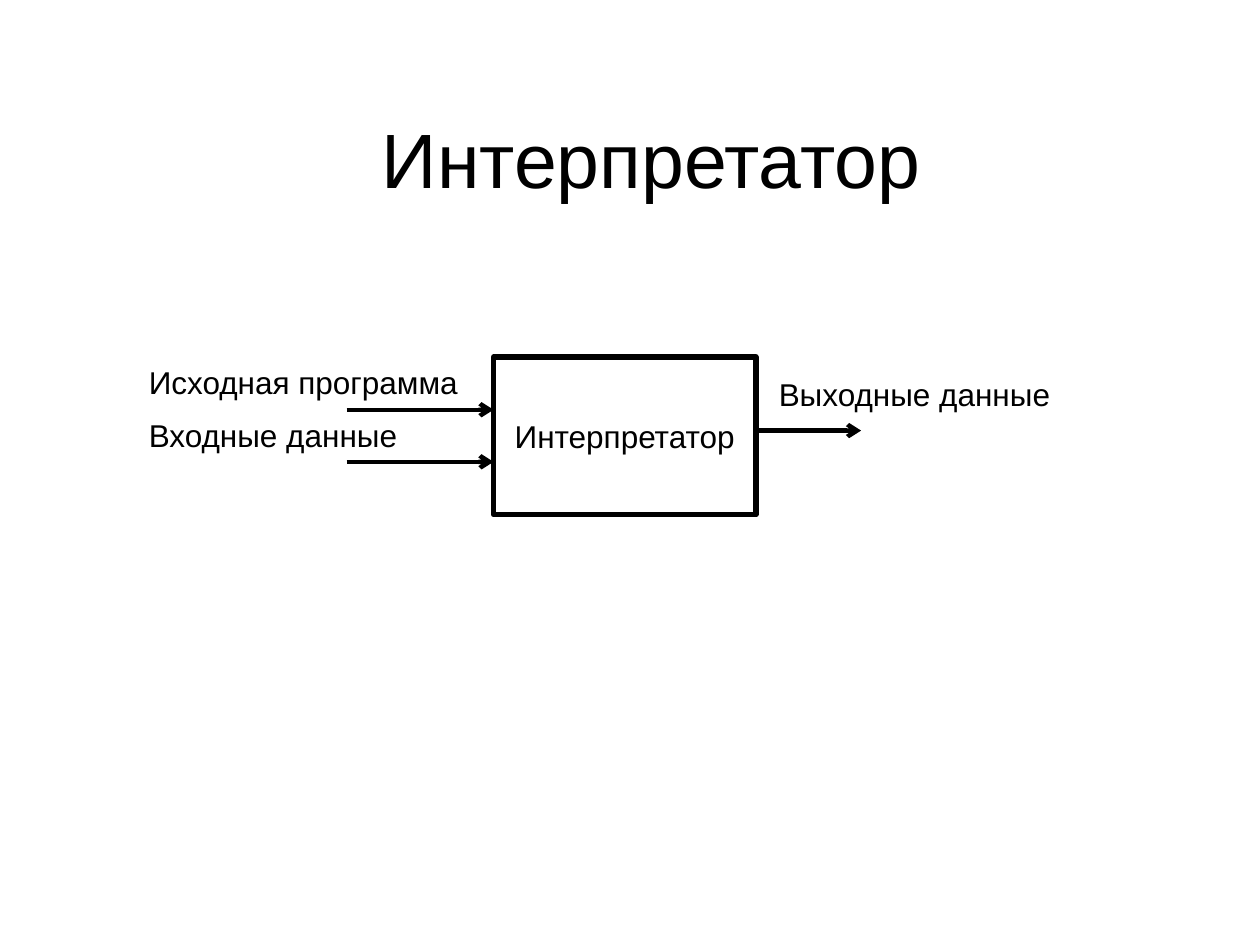
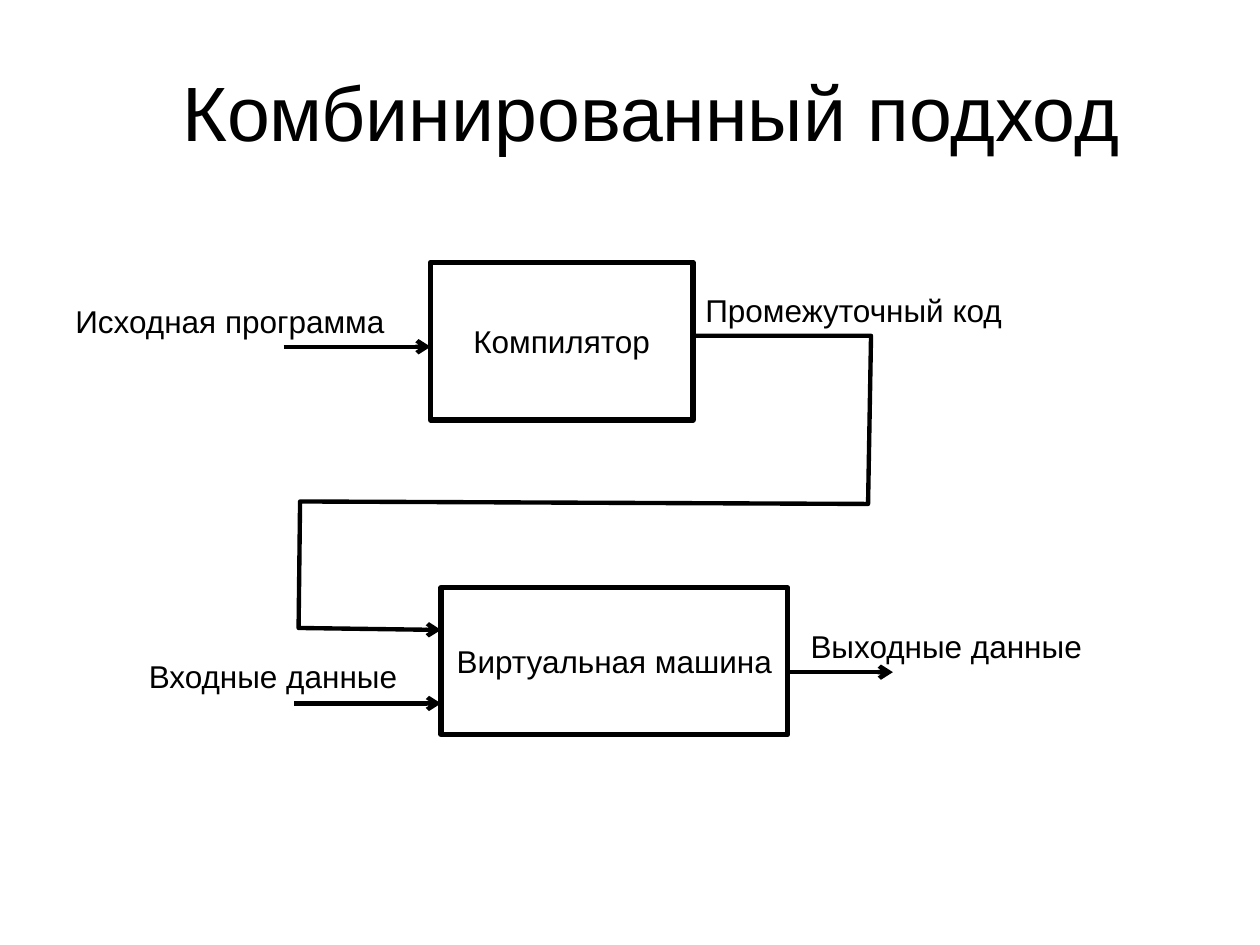
from dataclasses import dataclass

from lxml import etree
from pptx import Presentation
from pptx.dml.color import RGBColor
from pptx.enum.shapes import MSO_CONNECTOR, MSO_SHAPE
from pptx.enum.text import MSO_ANCHOR, MSO_AUTO_SIZE, PP_ALIGN
from pptx.oxml.ns import qn
from pptx.util import Cm, Pt

RECTANGLE = MSO_SHAPE.RECTANGLE
STRAIGHT = MSO_CONNECTOR.STRAIGHT
MIDDLE = MSO_ANCHOR.MIDDLE
TOP = MSO_ANCHOR.TOP
CENTER = PP_ALIGN.CENTER
LEFT = PP_ALIGN.LEFT
FIT_SHAPE = MSO_AUTO_SIZE.SHAPE_TO_FIT_TEXT
BLANK_LAYOUT = 6


@dataclass(frozen=True)
class Theme:
    ink: RGBColor = RGBColor(0, 0, 0)
    font: str = "Arial"
    title_size: Pt = Pt(44)
    text_size: Pt = Pt(18)
    box_line: Pt = Pt(3)
    arrow_line: Pt = Pt(2.5)
    input_length: Cm = Cm(2.96)
    output_length: Cm = Cm(2.12)
    label_height: Cm = Cm(1.02)


THEME = Theme()


def write_text(shape, text, size, align, anchor):
    frame = shape.text_frame
    frame.text = text
    frame.vertical_anchor = anchor
    para = frame.paragraphs[0]
    para.alignment = align
    font = para.runs[0].font
    font.name = THEME.font
    font.size = size
    font.color.rgb = THEME.ink
    return frame


def draw_line(shape, width):
    shape.line.color.rgb = THEME.ink
    shape.line.width = width


def add_arrowhead(shape):
    line = shape.line._get_or_add_ln()
    etree.SubElement(line, qn("a:tailEnd"), type="arrow")


def add_title(page, text, height):
    box = page.shapes.add_textbox(Cm(1.7), Cm(0.64), Cm(22.86), Cm(height))
    frame = write_text(box, text, THEME.title_size, CENTER, MIDDLE)
    frame.word_wrap = True


def add_label(page, text, left, top, width=7.62):
    box = page.shapes.add_textbox(Cm(left), Cm(top), Cm(width), THEME.label_height)
    frame = write_text(box, text, THEME.text_size, LEFT, TOP)
    frame.word_wrap = True
    frame.auto_size = FIT_SHAPE


def add_block(page, text, left, top, width=5.29, height=3.18):
    block = page.shapes.add_shape(RECTANGLE, Cm(left), Cm(top), Cm(width), Cm(height))
    block.shadow.inherit = False
    block.fill.background()
    draw_line(block, THEME.box_line)
    frame = write_text(block, text, THEME.text_size, CENTER, MIDDLE)
    frame.word_wrap = False
    return block


def add_arrow(page, start, end, y):
    arrow = page.shapes.add_connector(STRAIGHT, start, Cm(y), end, Cm(y))
    draw_line(arrow, THEME.arrow_line)
    add_arrowhead(arrow)
    etree.SubElement(arrow._element.spPr, qn("a:effectLst"))


def add_input(page, block, y):
    add_arrow(page, block.left - THEME.input_length, block.left, y)


def add_output(page, block, y):
    right = block.left + block.width
    add_arrow(page, right, right + THEME.output_length, y)


def add_route(page, points):
    start, *corners = [(Cm(x), Cm(y)) for x, y in points]
    builder = page.shapes.build_freeform(*start)
    builder.add_line_segments(corners, close=False)
    route = builder.convert_to_shape()
    route.shadow.inherit = False
    route.fill.background()
    draw_line(route, THEME.arrow_line)
    add_arrowhead(route)


def build_interpreter(page):
    add_title(page, "Интерпретатор", 5.08)
    interpreter = add_block(page, "Интерпретатор", 9.95, 7.2)
    add_label(page, "Исходная программа", 2.75, 7.2)
    add_label(page, "Входные данные", 2.75, 8.26)
    add_label(page, "Выходные данные", 15.45, 7.44)
    for y in (8.26, 9.31):
        add_input(page, interpreter, y)
    add_output(page, interpreter, 8.68)


def build_combined(page):
    add_title(page, "Комбинированный подход", 3.18)
    compiler = add_block(page, "Компилятор", 8.68, 5.29)
    machine = add_block(page, "Виртуальная машина", 8.89, 11.85, 6.99, 2.96)
    add_label(page, "Исходная программа", 1.27, 5.97, 7.2)
    add_label(page, "Промежуточный код", 13.97, 5.74, 10.16)
    add_label(page, "Входные данные", 2.75, 13.12)
    add_label(page, "Выходные данные", 16.09, 12.52, 6.56)
    add_input(page, compiler, 6.99)
    add_input(page, machine, 14.18)
    add_output(page, machine, 13.55)
    add_route(page, [(13.97, 6.77), (17.56, 6.77), (17.5, 10.16),
                     (6.05, 10.11), (6.02, 12.66), (8.89, 12.7)])


def main():
    deck = Presentation()
    deck.slide_width = Cm(25.4)
    deck.slide_height = Cm(19.05)
    for build in (build_interpreter, build_combined):
        build(deck.slides.add_slide(deck.slide_layouts[BLANK_LAYOUT]))
    deck.save("out.pptx")


if __name__ == "__main__":
    main()
